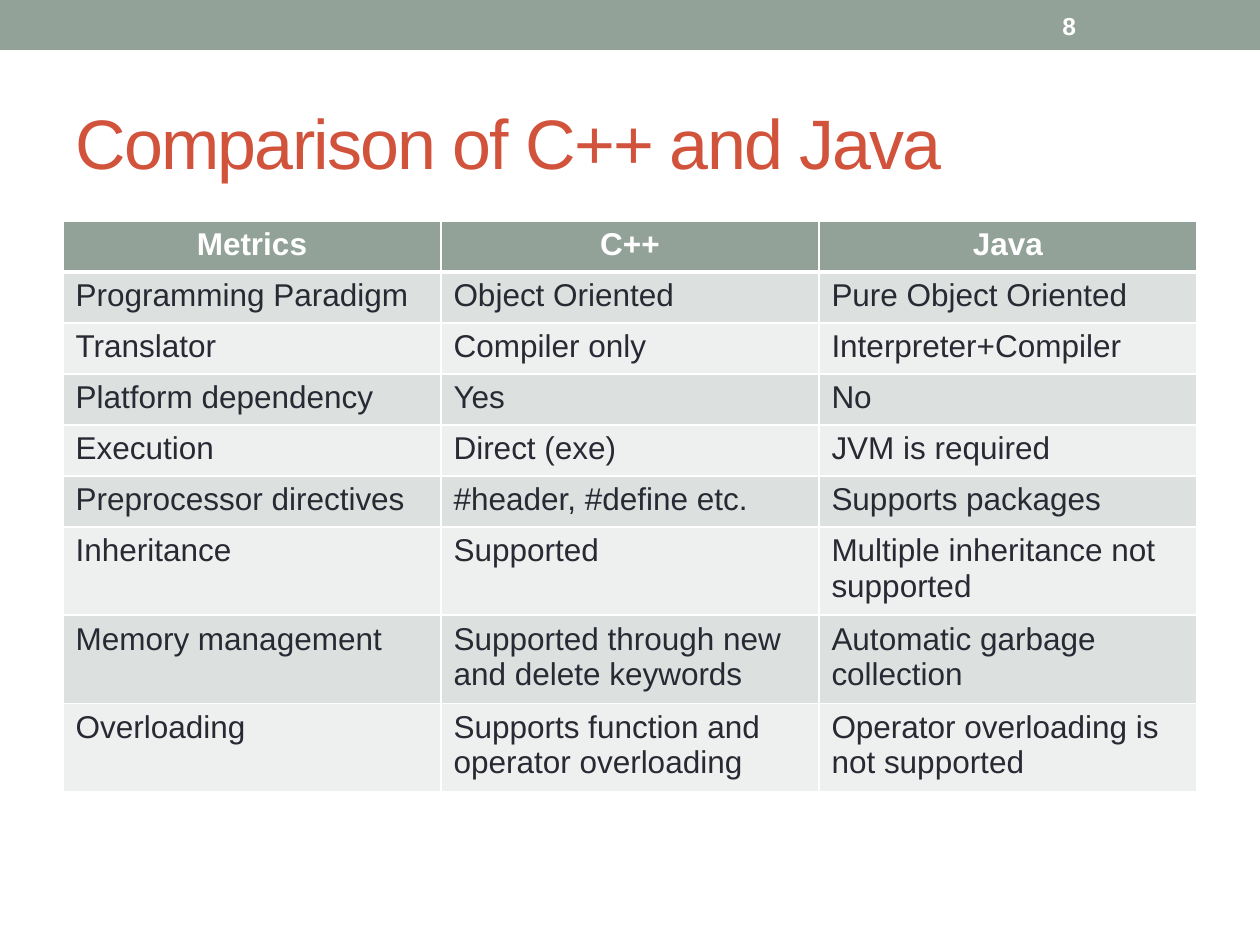
from lxml.etree import SubElement
from pptx import Presentation
from pptx.dml.color import RGBColor
from pptx.enum.shapes import MSO_SHAPE as Preset
from pptx.enum.text import MSO_ANCHOR as Anchor, PP_ALIGN as Align
from pptx.oxml import parse_xml
from pptx.oxml.ns import nsdecls, qn
from pptx.util import Pt

PX = 914400 // 126
SLIDE = (1260, 945)
SAGE, RUST, INK, WHITE = "93A299", "D2533C", "292934", "FFFFFF"
BANDS = ("DCE0DE", "EEF0EF")

BANNER = (0, 0, 1260, 50)
TITLE = ("Comparison of C++ and Java", (63, 73, 1134, 136))
PAGE_NUMBER = ("8", (1050, 3, 147, 45))
TABLE = (63, 221, 1134, 571)
ROW_HEIGHT = 51
COMPARISON = [
    ("Metrics", "C++", "Java"),
    ("Programming Paradigm", "Object Oriented", "Pure Object Oriented"),
    ("Translator", "Compiler only", "Interpreter+Compiler"),
    ("Platform dependency", "Yes", "No"),
    ("Execution", "Direct (exe)", "JVM is required"),
    ("Preprocessor directives", "#header, #define etc.", "Supports packages"),
    ("Inheritance", "Supported", "Multiple inheritance not supported"),
    ("Memory management", "Supported through new and delete keywords",
     "Automatic garbage collection"),
    ("Overloading", "Supports function and operator overloading",
     "Operator overloading is not supported"),
]


def emu(lengths):
    return [length * PX for length in lengths]


def color(value):
    return RGBColor.from_string(value)


def paint(target, value):
    target.fill.solid()
    target.fill.fore_color.rgb = color(value)


def write(frame, text, size, ink, bold=False, align=Align.LEFT, spacing=None):
    frame.word_wrap = True
    paragraph = frame.paragraphs[0]
    paragraph.alignment = align
    run = paragraph.add_run()
    run.text = text
    font = run.font
    font.name, font.size, font.bold = "Arial", Pt(size), bold
    font.color.rgb = color(ink)
    if spacing is not None:
        run._r.get_or_add_rPr().set("spc", str(spacing * 100))


def add_label(slide, text, box, **style):
    frame = slide.shapes.add_textbox(*emu(box)).text_frame
    frame.vertical_anchor = Anchor.MIDDLE
    write(frame, text, **style)


def add_borders(cell, top, bottom):
    properties = cell._tc.get_or_add_tcPr()
    widths = {"lnL": 1, "lnR": 1, "lnT": top, "lnB": bottom}
    for position, (side, width) in enumerate(widths.items()):
        border = parse_xml(f'<a:{side} {nsdecls("a")} w="{Pt(width)}"/>')
        fill = SubElement(border, qn("a:solidFill"))
        SubElement(fill, qn("a:srgbClr"), val=WHITE)
        properties.insert(position, border)


def add_comparison(slide):
    holder = slide.shapes.add_table(len(COMPARISON), len(COMPARISON[0]), *emu(TABLE))
    table = holder.table
    for row, texts in enumerate(COMPARISON):
        table.rows[row].height = ROW_HEIGHT * PX
        header = row == 0
        for column, text in enumerate(texts):
            cell = table.cell(row, column)
            paint(cell, SAGE if header else BANDS[(row - 1) % 2])
            add_borders(cell, top=3 if row == 1 else 1, bottom=3 if header else 1)
            write(cell.text_frame, text, 18, WHITE if header else INK, bold=header,
                  align=Align.CENTER if header else Align.LEFT)
    holder.height = TABLE[3] * PX


def main():
    """Build the slide comparing C++ and Java."""
    deck = Presentation()
    deck.slide_width, deck.slide_height = emu(SLIDE)
    slide = deck.slides.add_slide(deck.slide_layouts[6])
    banner = slide.shapes.add_shape(Preset.RECTANGLE, *emu(BANNER))
    banner.shadow.inherit = False
    banner.line.fill.background()
    paint(banner, SAGE)
    add_label(slide, *TITLE, size=40, ink=RUST, spacing=-1)
    add_comparison(slide)
    add_label(slide, *PAGE_NUMBER, size=14, ink=WHITE, bold=True)
    deck.save("out.pptx")


if __name__ == "__main__":
    main()
